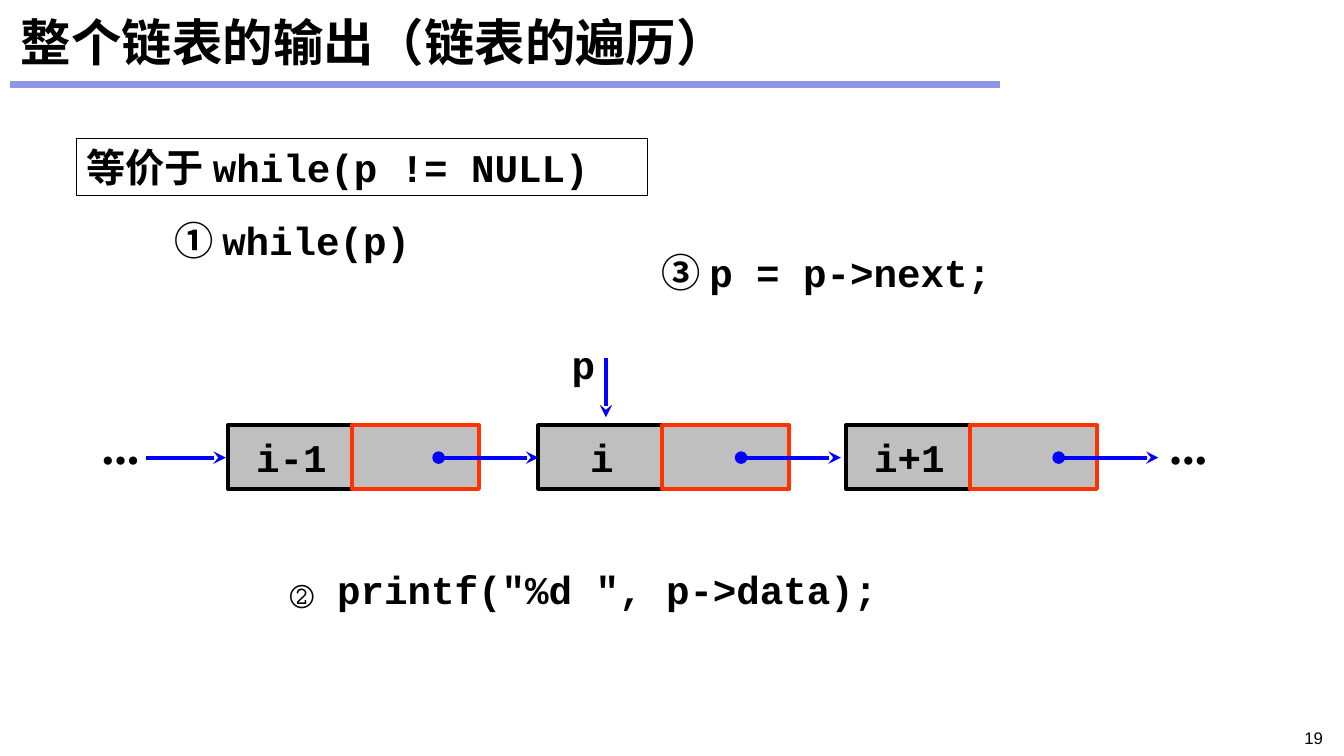
from lxml.etree import SubElement
from pptx import Presentation
from pptx.dml.color import RGBColor as Color
from pptx.enum.shapes import MSO_CONNECTOR as Connector, MSO_SHAPE as Preset
from pptx.enum.text import MSO_ANCHOR as Anchor, MSO_AUTO_SIZE as AutoSize, PP_ALIGN as Align
from pptx.oxml.ns import qn
from pptx.util import Inches, Pt

THEME = {
    "ink": Color.from_string("000000"),
    "rule": Color.from_string("8D97E5"),
    "arrow": Color.from_string("0000FF"),
    "cell": Color.from_string("BFBFBF"),
    "pointer": Color.from_string("FF3300"),
    "title": 36, "code": 28, "number": 12,
    "cjk": "Noto Sans CJK SC", "mono": "Courier New",
    "serif": "Times New Roman", "sans": "Arial",
}
CJK, MONO = THEME["cjk"], THEME["mono"]

presentation = Presentation()
presentation.slide_width, presentation.slide_height = Inches(13.33), Inches(7.5)
slide = presentation.slides.add_slide(presentation.slide_layouts[6])
shapes = slide.shapes

# Grid of 133.3 columns by 75 rows
COLUMN = presentation.slide_width / 133.3
ROW = presentation.slide_height / 75


def place(*lengths):
    """Turn alternating columns and rows into slide lengths."""
    return [round(length * (ROW if index % 2 else COLUMN)) for index, length in enumerate(lengths)]


def write(shape, runs, size, bold=True, align=Align.LEFT, wrap=False):
    """Write (text, font) runs into one paragraph of a shape."""
    frame = shape.text_frame
    frame.word_wrap = wrap
    paragraph = frame.paragraphs[0]
    paragraph.alignment = align
    for text, font in runs:
        run = paragraph.add_run()
        run.text = text
        run.font.name, run.font.size, run.font.bold = font, Pt(size), bold
        run.font.color.rgb = THEME["ink"]
        if font == CJK:
            SubElement(run._r.rPr, qn("a:ea"), typeface=font)
    return frame


# Title
title = shapes.add_textbox(*place(1.1, 0.8, 131.1, 6.7))
write(title, [("整个链表的输出（链表的遍历）", CJK)], THEME["title"],
      wrap=True).vertical_anchor = Anchor.MIDDLE

# List nodes: a data cell and a pointer cell each
CELL_TOP, CELL_WIDTH, CELL_HEIGHT, CELL_STEP = 42.2, 12.6, 6.3, 12.3
for node_left, label in [(22.6, "i-1"), (53.4, "i"), (83.9, "i+1")]:
    for index, (text, outline) in enumerate([(label, "ink"), ("", "pointer")]):
        cell = shapes.add_shape(Preset.RECTANGLE, *place(
            node_left + index * CELL_STEP, CELL_TOP, CELL_WIDTH, CELL_HEIGHT))
        cell.shadow.inherit = False
        cell.fill.solid()
        cell.fill.fore_color.rgb = THEME["cell"]
        cell.line.color.rgb, cell.line.width = THEME[outline], Pt(3)
        if text:
            write(cell, [(text, MONO)], THEME["code"],
                  align=Align.CENTER).vertical_anchor = Anchor.MIDDLE

# Title rule, links between nodes and the arrow of p
LINK = CELL_TOP + 3.2
LINK_LENGTH = 9.9
links = [((left, LINK, left + LINK_LENGTH, LINK), "arrow", 3, "oval", "stealth")
         for left in (43.5, 73.5, 105)]
lines = [
    ((1, 8.4, 99.2, 8.4), "rule", 4.5, None, None),
    ((14.5, LINK, 22.4, LINK), "arrow", 3, None, "stealth"),
    *links,
    ((60.1, 35.5, 60.1, 41.4), "arrow", 3, None, "stealth"),
]
for ends, color, width, head, tail in lines:
    connector = shapes.add_connector(Connector.STRAIGHT, *place(*ends))
    connector.line.color.rgb, connector.line.width = THEME[color], Pt(width)
    for tag, kind in (("a:headEnd", head), ("a:tailEnd", tail)):
        if kind:
            SubElement(connector.line._get_or_add_ln(), qn(tag), type=kind)
    SubElement(connector._element.spPr, qn("a:effectLst"))

# Ellipses, code steps and the label of p
labels = [
    ((9.1, 40.6, 5.8, 7.1), [("...", THEME["serif"])], "title"),
    ((115, 40.6, 5.8, 7.1), [("...", THEME["serif"])], "title"),
    ((16.3, 21, 26.7, 5.7), [("① ", CJK), ("while(p)", MONO)], "code"),
    ((27.8, 55.6, 62.3, 5.7), [('② printf("%d ", p->data);', MONO)], "code"),
    ((64.6, 24.1, 36.1, 5.7), [("③ ", CJK), ("p = p->next;", MONO)], "code"),
    ((55.7, 33.3, 5.2, 5.7), [("p", MONO)], "code"),
]
for area, runs, size in labels:
    label = shapes.add_textbox(*place(*area))
    write(label, runs, THEME[size]).auto_size = AutoSize.SHAPE_TO_FIT_TEXT

# Framed equivalent condition
condition = shapes.add_textbox(*place(7.6, 13.7, 56.6, 5.7))
condition.line.color.rgb, condition.line.width = THEME["ink"], Pt(0.75)
write(condition, [("等价于 while(p != NULL)", MONO)], THEME["code"],
      wrap=True).auto_size = AutoSize.SHAPE_TO_FIT_TEXT

# Slide number
number = shapes.add_textbox(*place(119.1, 71.7, 13.1, 2.5))
write(number, [("19", THEME["sans"])], THEME["number"], bold=False, align=Align.RIGHT,
      wrap=True)

presentation.save("out.pptx")
